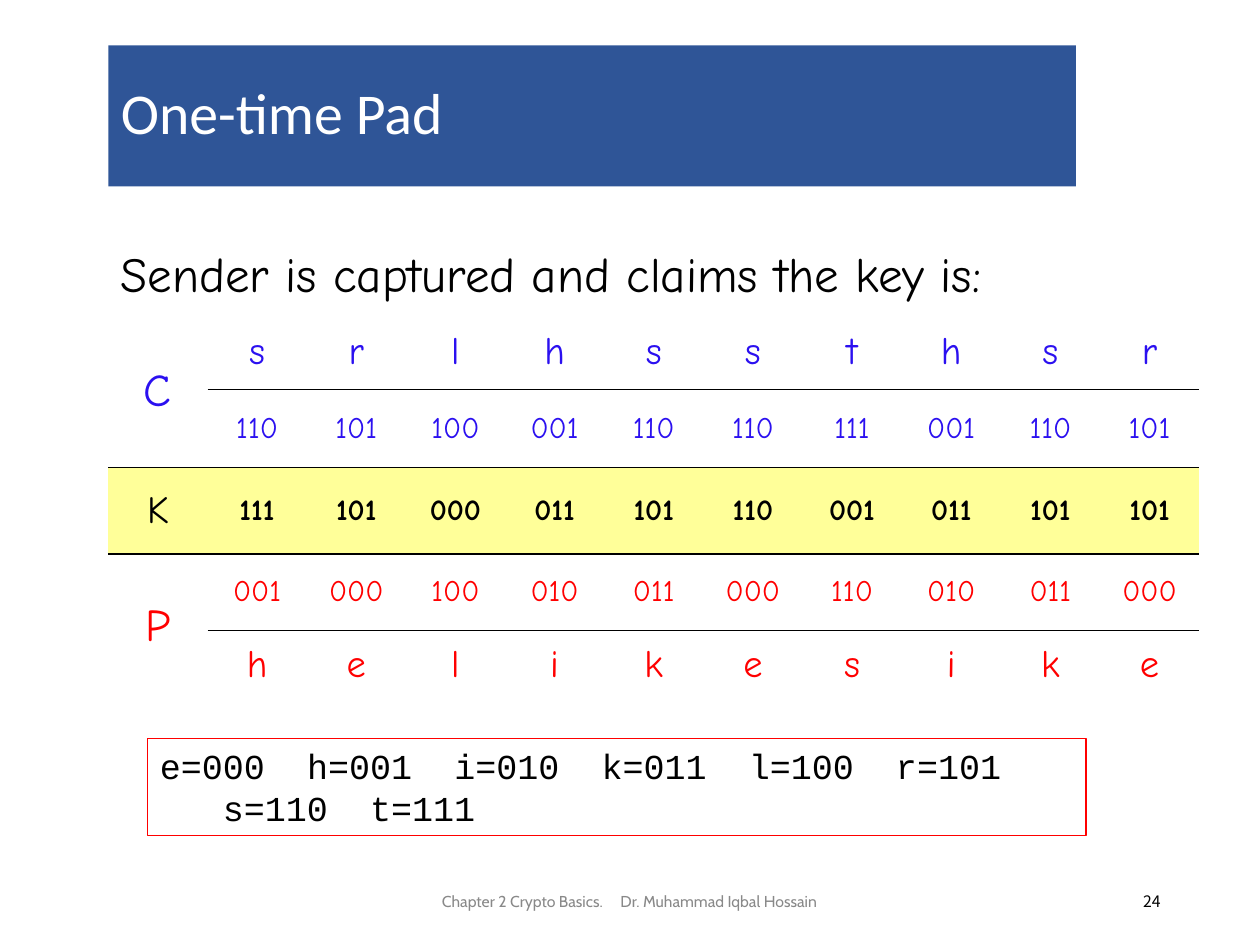
from dataclasses import dataclass
from typing import Optional

from pptx import Presentation
from pptx.dml.color import RGBColor
from pptx.enum.shapes import MSO_SHAPE
from pptx.enum.text import MSO_ANCHOR, MSO_AUTO_SIZE, PP_ALIGN
from pptx.oxml.ns import qn
from pptx.util import Emu, Inches, Pt
from lxml import etree

LEFT, CENTER, RIGHT = PP_ALIGN.LEFT, PP_ALIGN.CENTER, PP_ALIGN.RIGHT
TOP, MIDDLE = MSO_ANCHOR.TOP, MSO_ANCHOR.MIDDLE
GROW, FIXED = MSO_AUTO_SIZE.SHAPE_TO_FIT_TEXT, MSO_AUTO_SIZE.NONE
TITLE_ONLY = 5


@dataclass(frozen=True)
class Theme:
    banner: str = "2F5597"
    white: str = "FFFFFF"
    ink: str = "000000"
    cipher: str = "2B10F0"
    plain: str = "FF0000"
    key_fill: str = "FFFF99"
    muted: str = "898989"
    title_pt: int = 33
    lead_pt: int = 28
    label_pt: int = 26
    letter_pt: int = 22
    code_pt: int = 20
    bits_pt: int = 17
    footer_pt: int = 9
    thick_pt: float = 1.08
    thin_pt: float = 0.45
    outline_pt: float = 0.75
    hand: str = "Comic Neue"
    heading: str = "Calibri"
    mono: str = "Courier New"
    footer: str = "Cabin"
    number: str = "Noto Sans CJK KR"


T = Theme()


@dataclass(frozen=True)
class Style:
    size: int
    color: str
    font: str = T.hand
    bold: bool = False


@dataclass(frozen=True)
class PadRow:
    label: Optional[str]  # None continues the label above
    values: list
    height: float
    color: str
    top: float
    bottom: float
    size: int = T.bits_pt
    label_size: int = T.label_pt
    fill: Optional[str] = None
    bold: bool = False


# Message content: the three-bit code of a letter is its place in the alphabet
ALPHABET = "ehiklrst"
CODES = {letter: f"{i:03b}" for i, letter in enumerate(ALPHABET)}
CIPHERTEXT, PLAINTEXT = "srlhssthsr", "helikesike"


def bits(word: str) -> list:
    return [CODES[letter] for letter in word]


def xor(a: str, b: str) -> str:
    return f"{int(a, 2) ^ int(b, 2):03b}"


CIPHER_BITS, PLAIN_BITS = bits(CIPHERTEXT), bits(PLAINTEXT)
KEY_BITS = [xor(c, p) for c, p in zip(CIPHER_BITS, PLAIN_BITS)]

ROWS = [
    PadRow("C", list(CIPHERTEXT), 0.59, T.cipher, 0, T.thin_pt, T.letter_pt),
    PadRow(None, CIPHER_BITS, 0.62, T.cipher, T.thin_pt, T.thick_pt),
    PadRow("K", KEY_BITS, 0.69, T.ink, T.thick_pt, T.thick_pt,
           label_size=T.letter_pt, fill=T.key_fill, bold=True),
    PadRow("P", PLAIN_BITS, 0.6, T.plain, T.thick_pt, T.thin_pt),
    PadRow(None, list(PLAINTEXT), 0.55, T.plain, T.thin_pt, 0, T.letter_pt),
]


def rgb(value: str) -> RGBColor:
    return RGBColor.from_string(value)


def format_run(r, style: Style) -> None:
    r.font.size, r.font.name, r.font.bold = Pt(style.size), style.font, style.bold
    r.font.color.rgb = rgb(style.color)


def write(tf, parts: list, style: Style, align=LEFT, anchor=MIDDLE, gap: float = 0):
    """Write the parts in one line, with spaces widened by gap points between."""
    tf.word_wrap = True
    tf.vertical_anchor = anchor
    p = tf.paragraphs[0]
    p.alignment = align
    for i, part in enumerate(parts):
        if i:
            space = p.add_run()
            space.text = " "
            format_run(space, style)
            space.font._element.set("spc", str(int(gap * 100)))
        r = p.add_run()
        r.text = part
        format_run(r, style)
    return p


def add_text(s, box: tuple, parts: list, style: Style, **layout):
    sp = s.shapes.add_textbox(*map(Inches, box))
    write(sp.text_frame, parts, style, **layout)
    return sp


def set_borders(cell, top: float, bottom: float) -> None:
    """Draw the horizontal rules of a cell; a width of 0 means no line."""
    tc_pr = cell._tc.get_or_add_tcPr()
    for i, (side, width) in enumerate(
            (("lnL", 0), ("lnR", 0), ("lnT", top), ("lnB", bottom))):
        ln = etree.Element(qn(f"a:{side}"), w=str(Pt(width)))
        if width:
            fill = etree.SubElement(ln, qn("a:solidFill"))
            etree.SubElement(fill, qn("a:srgbClr"), val=T.ink)
        else:
            etree.SubElement(ln, qn("a:noFill"))
        tc_pr.insert(i, ln)


def fill_cell(cell, text: str, row: PadRow, style: Style) -> None:
    p = write(cell.text_frame, [text], style, CENTER)
    p.space_before = Pt(style.size / 4)
    cell.vertical_anchor = MIDDLE


def add_pad_table(s, left: float, top: float, width: float, rows: list) -> None:
    cols = len(rows[0].values) + 1
    height = sum(row.height for row in rows)
    frame = s.shapes.add_table(len(rows), cols, *map(Inches, (left, top, width, height)))
    table = frame.table
    table.first_row = table.horz_banding = False
    for col in table.columns:
        col.width = Emu(Inches(width) // cols)
    for i, row in enumerate(rows):
        table.rows[i].height = Inches(row.height)
        continued = i + 1 < len(rows) and rows[i + 1].label is None
        for j, text in enumerate([row.label] + row.values):
            cell = table.cell(i, j)
            if row.fill:
                cell.fill.solid()
                cell.fill.fore_color.rgb = rgb(row.fill)
            else:
                cell.fill.background()
            # No rule runs through a label that covers two rows
            set_borders(cell, 0 if text is None else row.top,
                        0 if j == 0 and continued else row.bottom)
            if text is not None:
                size = row.size if j else row.label_size
                fill_cell(cell, text, row, Style(size, row.color, bold=row.bold and j > 0))
        if continued:
            table.cell(i, 0).merge(table.cell(i + 1, 0))


def main() -> None:
    prs = Presentation()
    prs.slide_width, prs.slide_height = Inches(10), Inches(7.5)
    s = prs.slides.add_slide(prs.slide_layouts[TITLE_ONLY])
    margin = 0.86

    # Title banner
    title = s.shapes.title
    title.left, title.top, title.width, title.height = map(Inches, (margin, 0.36, 7.68, 1.12))
    title.fill.solid()
    title.fill.fore_color.rgb = rgb(T.banner)
    p = write(title.text_frame, ["One-time Pad"], Style(T.title_pt, T.white, T.heading))
    p.line_spacing = 0.9
    title.text_frame.auto_size = FIXED

    # Lead sentence and cipher table
    lead = add_text(s, (margin, 1.88, 8.16, 0.57),
                    ["Sender is captured and claims the key is:"],
                    Style(T.lead_pt, T.ink), anchor=TOP)
    lead.text_frame.auto_size = GROW
    add_pad_table(s, margin, 2.5, 8.66, ROWS)

    # Code list with a hanging indent
    sp = s.shapes.add_shape(MSO_SHAPE.RECTANGLE, *map(Inches, (1.17, 5.86, 7.45, 0.77)))
    sp.shadow.inherit = False
    sp.fill.background()
    sp.line.color.rgb, sp.line.width = rgb(T.plain), Pt(T.outline_pt)
    p = write(sp.text_frame, [f"{k}={v}" for k, v in CODES.items()],
              Style(T.code_pt, T.ink, T.mono), anchor=TOP, gap=12)
    p_pr = p._p.get_or_add_pPr()
    p_pr.set("marL", str(Inches(0.5)))
    p_pr.set("indent", str(-Inches(0.5)))
    sp.text_frame.auto_size = GROW

    # Footer and slide number
    add_text(s, (3.31, 6.95, 3.37, 0.4),
             ["Chapter 2 Crypto Basics.", "Dr. Muhammad Iqbal Hossain"],
             Style(T.footer_pt, T.muted, T.footer), align=CENTER, gap=8.2)
    add_text(s, (7.06, 6.95, 2.25, 0.4), ["24"],
             Style(T.footer_pt, T.ink, T.number), align=RIGHT)

    prs.save("out.pptx")


if __name__ == "__main__":
    main()
